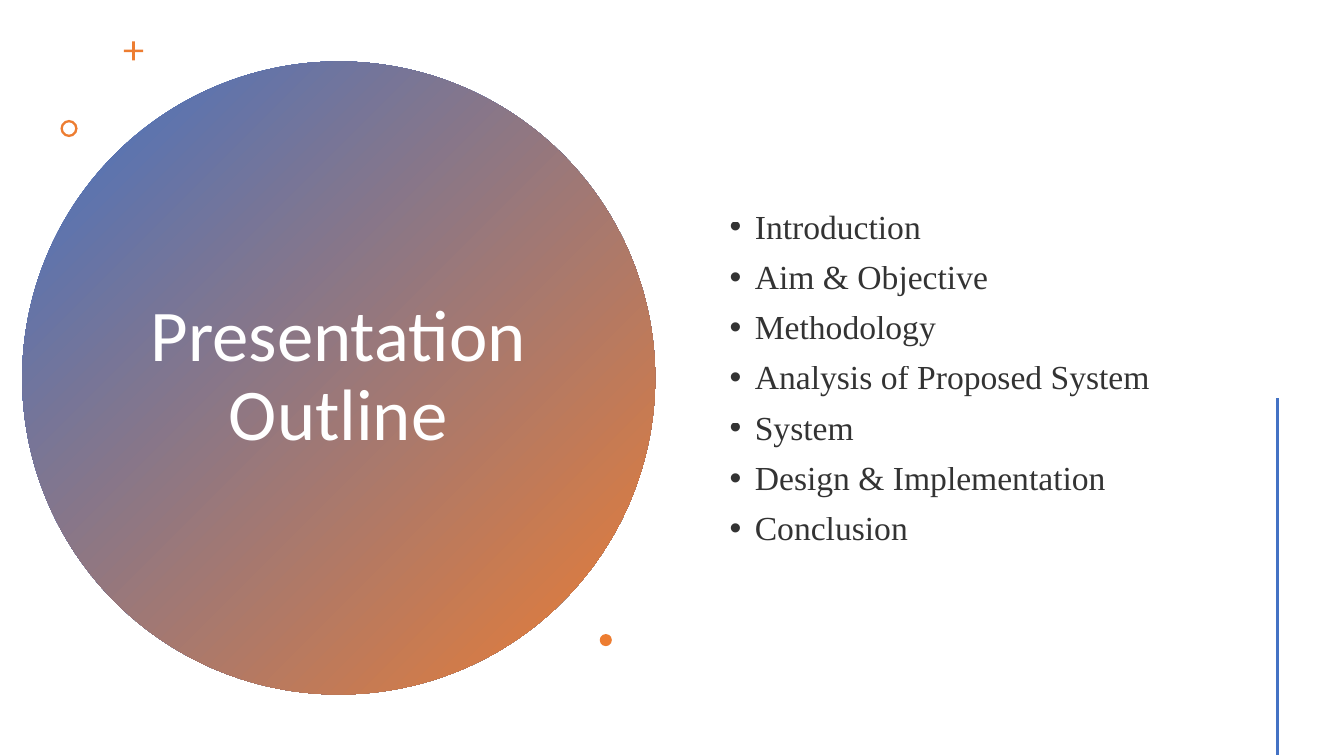
from lxml.etree import SubElement
from pptx import Presentation
from pptx.dml.color import RGBColor
from pptx.enum.shapes import MSO_CONNECTOR, MSO_SHAPE
from pptx.enum.text import MSO_ANCHOR, PP_ALIGN
from pptx.oxml.ns import qn
from pptx.util import Inches, Pt

# Grid of square cells, 160 columns by 90 rows
COLUMNS, ROWS = 160, 90
CELL = Inches(7.5) / ROWS

COLORS = {
    "blue": "4472C4",
    "orange": "ED7D31",
    "white": "FFFFFF",
    "ink": "000000",
}
TITLE_FORMAT = {"size": Pt(52), "name": "Calibri"}
TOPIC_FORMAT = {"size": Pt(24), "name": "Times New Roman"}
CENTERED = {"alignment": PP_ALIGN.CENTER, "line_spacing": 0.9}
TOPIC_LAYOUT = {
    "alignment": PP_ALIGN.JUSTIFY,
    "line_spacing": 0.9,
    "space_before": Pt(10),
}
TOPICS = [
    "Introduction",
    "Aim & Objective",
    "Methodology",
    "Analysis of Proposed System",
    "System",
    "Design & Implementation",
    "Conclusion",
]
# Small ornaments: preset, left, top, size, adjustment
ORNAMENTS = [
    (MSO_SHAPE.CROSS, 14.76, 4.92, 2.28, 0.43),
    (MSO_SHAPE.DONUT, 7.2, 14.28, 2.04, 0.14),
    (MSO_SHAPE.OVAL, 71.4, 75.48, 1.44, None),
]


def cells(*counts):
    return [round(count * CELL) for count in counts]


def color(name):
    return RGBColor.from_string(COLORS[name])


def apply_format(target, values):
    for key, value in values.items():
        setattr(target, key, value)


def add_preset(slide, preset, left, top, size):
    shape = slide.shapes.add_shape(preset, *cells(left, top, size, size))
    shape.shadow.inherit = False
    shape.line.fill.background()
    return shape


def add_disc(slide, left, top, size):
    disc = add_preset(slide, MSO_SHAPE.OVAL, left, top, size)
    disc.fill.gradient()
    disc.fill.gradient_angle = 315
    for stop, position, name in zip(disc.fill.gradient_stops, (0, 1), ("blue", "orange")):
        stop.position = position
        stop.color.rgb = color(name)


def add_ornament(slide, preset, left, top, size, adjustment):
    ornament = add_preset(slide, preset, left, top, size)
    ornament.fill.solid()
    ornament.fill.fore_color.rgb = color("orange")
    if adjustment is not None:
        ornament.adjustments[0] = adjustment


def add_text(slide, box, lines, font_format, layout, color_name):
    frame = slide.shapes.add_textbox(*cells(*box)).text_frame
    frame.word_wrap = True
    frame.vertical_anchor = MSO_ANCHOR.MIDDLE
    frame.text = "\n".join(lines)
    for paragraph in frame.paragraphs:
        apply_format(paragraph, layout)
        font = paragraph.runs[0].font
        apply_format(font, font_format)
        font.color.rgb = color(color_name)
    return frame.paragraphs


def add_bullet(paragraph):
    properties = paragraph._p.get_or_add_pPr()
    properties.set("marL", str(Inches(0.5)))
    properties.set("indent", str(Inches(-0.25)))
    SubElement(properties, qn("a:buFont"), typeface="Arial")
    SubElement(properties, qn("a:buChar"), char="•")


def set_opacity(paragraph, percent):
    for rgb in paragraph._p.iter(qn("a:srgbClr")):
        SubElement(rgb, qn("a:alpha"), val=str(percent * 1000))


def add_rule(slide, column, top, bottom):
    rule = slide.shapes.add_connector(
        MSO_CONNECTOR.STRAIGHT, *cells(column, top, column, bottom))
    rule.line.width = Pt(2)
    rule.line.color.rgb = color("blue")
    SubElement(rule._element.spPr, qn("a:effectLst"))


def main():
    deck = Presentation()
    deck.slide_width, deck.slide_height = cells(COLUMNS, ROWS)
    slide = deck.slides.add_slide(deck.slide_layouts[6])

    # Title on the gradient disc
    add_disc(slide, 2.64, 7.32, 75.36)
    add_text(slide, (16.32, 16.92, 47.88, 56.04), ["Presentation Outline"],
             TITLE_FORMAT, CENTERED, "white")

    # Ornaments around the disc
    for ornament in ORNAMENTS:
        add_ornament(slide, *ornament)

    # Outline topics
    topics = add_text(slide, (82.68, 6.84, 62.64, 76.56), TOPICS,
                      TOPIC_FORMAT, TOPIC_LAYOUT, "ink")
    for topic in topics:
        add_bullet(topic)
        set_opacity(topic, 80)

    # Vertical rule at the right edge
    add_rule(slide, 152.04, 47.4, 89.9)

    deck.save("out.pptx")


if __name__ == "__main__":
    main()
